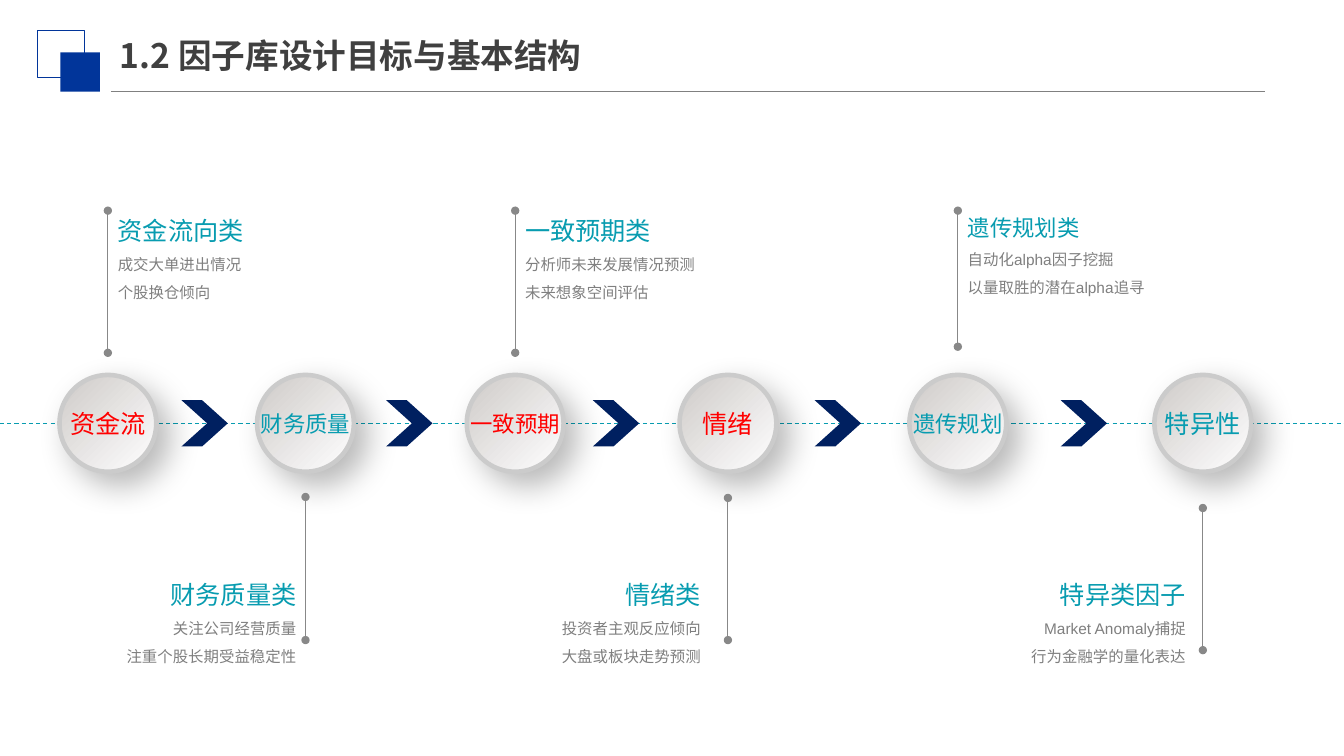
from pptx import Presentation
from pptx.dml.color import RGBColor
from pptx.enum.dml import MSO_LINE
from pptx.enum.shapes import MSO_CONNECTOR, MSO_SHAPE
from pptx.enum.text import MSO_ANCHOR, MSO_AUTO_SIZE, PP_ALIGN
from pptx.oxml import parse_xml
from pptx.oxml.ns import nsdecls
from pptx.util import Inches, Pt

C = {"title": "404040", "rule": "808080", "logo": "01359A", "teal": "089CB0",
     "red": "FF0000", "navy": "002060", "stem": "888888", "body": "7F7F7F",
     "ring": "CBCBCB", "dark": "CECAC8", "light": "FFFFFF"}
DISC, CHEVRON, AXIS_Y = 0.96, 0.46, 4.2

STAGES = [
    dict(x=1.07, name="资金流", color="red", size=18, stem=(2.09, 3.5),
         box=(1.07, 1.94, 2.64, 1.11), head="资金流向类",
         notes=["成交大单进出情况", "个股换仓倾向"]),
    dict(x=3.03, name="财务质量", color="teal", size=16, stem=(4.93, 6.35),
         box=(0.21, 5.55, 2.83, 1.11), head="财务质量类",
         notes=["关注公司经营质量", "注重个股长期受益稳定性"]),
    dict(x=5.11, name="一致预期", color="red", size=16, stem=(2.09, 3.5),
         box=(5.11, 1.94, 3.21, 1.11), head="一致预期类",
         notes=["分析师未来发展情况预测", "未来想象空间评估"]),
    dict(x=7.22, name="情绪", color="red", size=18, stem=(4.94, 6.35),
         box=(3.67, 5.55, 3.38, 1.11), head="情绪类",
         notes=["投资者主观反应倾向", "大盘或板块走势预测"]),
    dict(x=9.5, name="遗传规划", color="teal", size=16, stem=(2.09, 3.44),
         box=(9.5, 1.94, 3.36, 1.06), head="遗传规划类", head_size=16,
         head_font="Arial Narrow",
         notes=["自动化alpha因子挖掘", "以量取胜的潜在alpha追寻"]),
    dict(x=11.93, name="特异性", color="teal", size=18, stem=(5.04, 6.45),
         box=(9.03, 5.55, 2.83, 1.11), head="特异类因子",
         notes=["Market Anomaly捕捉", "行为金融学的量化表达"]),
]
CHEVRON_LEFTS = [1.8, 3.83, 5.88, 8.08, 10.52]


def rgb(name):
    """Return the named palette colour."""
    return RGBColor.from_string(C[name])


def set_font(p, name, size, color, bold=False):
    """Format the font of a paragraph."""
    f = p.font
    f.name, f.size, f.bold = name, Pt(size), bold
    f.color.rgb = rgb(color)


def add_shape(s, kind, x, y, w, h, fill=None, line=None, weight=1):
    """Add a preset shape with a plain fill and outline."""
    sp = s.shapes.add_shape(kind, Inches(x), Inches(y), Inches(w), Inches(h))
    sp.shadow.inherit = False
    if fill:
        sp.fill.solid()
        sp.fill.fore_color.rgb = rgb(fill)
    else:
        sp.fill.background()
    if line:
        sp.line.color.rgb = rgb(line)
        sp.line.width = Pt(weight)
    else:
        sp.line.fill.background()
    return sp


def add_line(s, x1, y1, x2, y2, color):
    """Add a thin straight connector without a shadow."""
    ln = s.shapes.add_connector(MSO_CONNECTOR.STRAIGHT, Inches(x1), Inches(y1),
                                Inches(x2), Inches(y2))
    ln.line.color.rgb = rgb(color)
    ln.line.width = Pt(0.75)
    ln._element.spPr.append(parse_xml(f"<a:effectLst {nsdecls('a')}/>"))
    return ln


def add_header(s, x, y, w, h):
    """Place the corner squares, the title and the rule under it."""
    add_line(s, x + 0.73, y + h, x + w, y + h, "rule")
    add_shape(s, MSO_SHAPE.RECTANGLE, x, y, 0.47, 0.47, line="logo")
    add_shape(s, MSO_SHAPE.RECTANGLE, x + 0.23, y + 0.22, 0.39, 0.39, fill="logo")
    title = s.shapes.title
    title.left, title.top = Inches(x + 0.82), Inches(y - 0.03)
    title.width, title.height = Inches(4.72), Inches(0.55)
    tf = title.text_frame
    tf.text = "1.2 因子库设计目标与基本结构"
    tf.auto_size = MSO_AUTO_SIZE.NONE
    tf.vertical_anchor = MSO_ANCHOR.MIDDLE
    tf.margin_left = tf.margin_right = 0
    p = tf.paragraphs[0]
    p.alignment = PP_ALIGN.LEFT
    set_font(p, "Noto Sans CJK SC", 24, "title", bold=True)


def add_disc(s, cx, cy, name, color, size):
    """Place a shaded, ringed disc with its name, centred on a point."""
    sp = add_shape(s, MSO_SHAPE.OVAL, cx - DISC / 2, cy - DISC / 2, DISC, DISC,
                   line="ring", weight=3.25)
    sp.fill.gradient()
    sp.fill.gradient_angle = 315
    for stop, shade in zip(sp.fill.gradient_stops, ("dark", "light")):
        stop.color.rgb = rgb(shade)
    effects = sp._element.spPr.find("{*}effectLst")
    effects.append(parse_xml(
        f'<a:outerShdw {nsdecls("a")} blurRad="{Pt(23)}" dist="{Pt(12)}" '
        'dir="2700000" algn="tl" rotWithShape="0"><a:srgbClr val="000000">'
        '<a:alpha val="28000"/></a:srgbClr></a:outerShdw>'))
    tf = sp.text_frame
    tf.text = name
    tf.word_wrap = False
    tf.vertical_anchor = MSO_ANCHOR.MIDDLE
    p = tf.paragraphs[0]
    p.alignment = PP_ALIGN.CENTER
    set_font(p, "Arial Narrow", size, color)


def add_stem(s, x, top, bottom):
    """Place a vertical line with a dot at each end."""
    ln = add_line(s, x, top, x, bottom, "stem")
    for end in ("headEnd", "tailEnd"):
        ln.line._get_or_add_ln().append(
            parse_xml(f'<a:{end} {nsdecls("a")} type="oval"/>'))


def add_note(s, box, head, notes, align, head_size=18, head_font="Arial"):
    """Place a heading with its lines of explanation."""
    tf = s.shapes.add_textbox(*map(Inches, box)).text_frame
    tf.word_wrap = True
    tf.text = "\n".join([head, *notes])
    for i, p in enumerate(tf.paragraphs):
        p.alignment, p.line_spacing = align, 1.5
        if i == 0:
            set_font(p, head_font, head_size, "teal")
        else:
            set_font(p, "Arial", 11, "body")


def add_timeline(s, x, cy, w):
    """Place the dashed axis, its chevrons and all stages."""
    axis = add_line(s, x, cy, x + w, cy, "teal")
    axis.line.dash_style = MSO_LINE.DASH
    for left in CHEVRON_LEFTS:
        sp = add_shape(s, MSO_SHAPE.CHEVRON, x + left, cy - CHEVRON / 2,
                       CHEVRON, CHEVRON, fill="navy")
        sp.adjustments[0] = 0.555
    for st in STAGES:
        above = st["stem"][0] < cy
        add_disc(s, x + st["x"], cy, st["name"], st["color"], st["size"])
        add_stem(s, x + st["x"], *st["stem"])
        add_note(s, st["box"], st["head"], st["notes"],
                 PP_ALIGN.LEFT if above else PP_ALIGN.RIGHT,
                 st.get("head_size", 18), st.get("head_font", "Arial"))


def main():
    """Build the slide and save it."""
    prs = Presentation()
    prs.slide_width, prs.slide_height = Inches(13.33), Inches(7.5)
    s = prs.slides.add_slide(prs.slide_layouts[5])
    add_header(s, 0.37, 0.3, 12.18, 0.61)
    add_timeline(s, 0, AXIS_Y, 13.33)
    prs.save("out.pptx")


if __name__ == "__main__":
    main()
